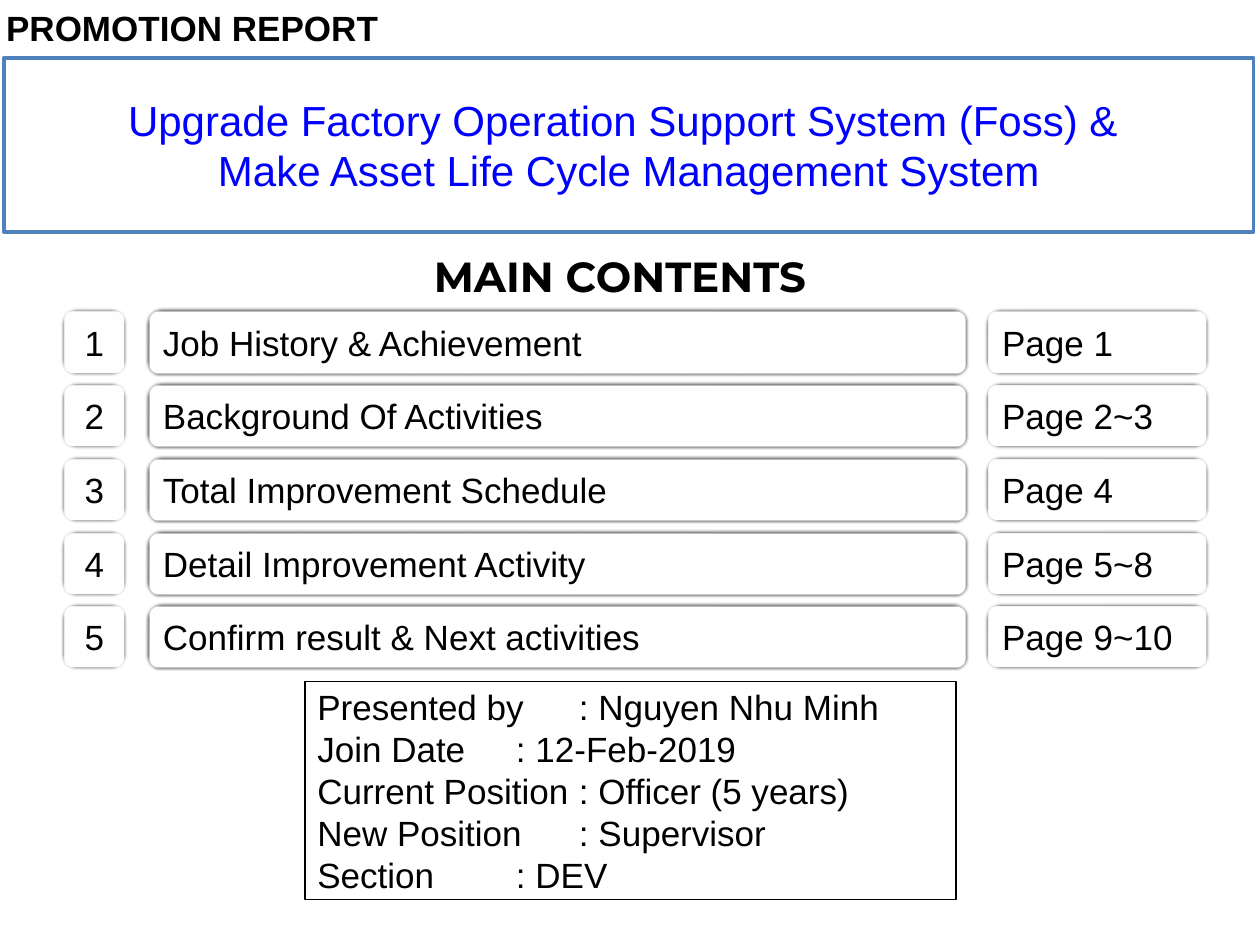
from lxml import etree
from pptx import Presentation
from pptx import util as u
from pptx.dml.color import RGBColor
from pptx.enum import shapes, text
from pptx.oxml.ns import qn

BLACK = RGBColor(0x00, 0x00, 0x00)
WHITE = RGBColor(0xFF, 0xFF, 0xFF)
TITLE_BLUE = RGBColor(0x00, 0x00, 0xFF)
BORDER_BLUE = RGBColor(0x4F, 0x81, 0xBD)

RECTANGLE = shapes.MSO_SHAPE.RECTANGLE
ROUNDED = shapes.MSO_SHAPE.ROUNDED_RECTANGLE
LEFT = text.PP_ALIGN.LEFT
CENTER = text.PP_ALIGN.CENTER

CONTENTS = [
    ("Job History & Achievement", "Page 1"),
    ("Background Of Activities", "Page 2~3"),
    ("Total Improvement Schedule", "Page 4"),
    ("Detail Improvement Activity", "Page 5~8"),
    ("Confirm result & Next activities", "Page 9~10"),
]
PRESENTER = [
    "Presented by\t : Nguyen Nhu Minh",
    "Join Date\t : 12-Feb-2019",
    "Current Position\t : Officer (5 years)",
    "New Position\t : Supervisor",
    "Section\t\t : DEV",
]
TITLE = [
    "Upgrade Factory Operation Support System (Foss) & ",
    "Make Asset Life Cycle Management System",
]
ROW_TOP, ROW_STEP, ROW_HEIGHT = 2.46, 0.585, 0.51


def write_text(shape, lines, size=20, color=BLACK, align=LEFT, font="Arial", bold=False):
    shape.text_frame.text = "\n".join(lines)
    for paragraph in shape.text_frame.paragraphs:
        paragraph.alignment = align
        for run in paragraph.runs:
            run.font.name = font
            run.font.size = u.Pt(size)
            run.font.bold = bold
            run.font.color.rgb = color


def add_box(slide, kind, bounds, lines, fill=WHITE, line=None, line_width=1, **style):
    shape = slide.shapes.add_shape(kind, *map(u.Inches, bounds))
    shape.shadow.inherit = False
    if fill is None:
        shape.fill.background()
    else:
        shape.fill.solid()
        shape.fill.fore_color.rgb = fill
    if line is None:
        shape.line.fill.background()
    else:
        shape.line.color.rgb = line
        shape.line.width = u.Pt(line_width)
    shape.text_frame.word_wrap = False
    shape.text_frame.vertical_anchor = text.MSO_ANCHOR.MIDDLE
    write_text(shape, lines, **style)
    return shape


def soften_edges(shape, radius):
    effects = shape.element.spPr.find(qn("a:effectLst"))
    etree.SubElement(effects, qn("a:softEdge"), rad=str(u.Pt(radius)))


def add_contents_row(slide, index, topic, pages):
    top = ROW_TOP + index * ROW_STEP
    cells = [
        (0.5, 0.5, str(index + 1), CENTER),
        (1.17, 6.5, topic, LEFT),
        (7.83, 1.75, pages, LEFT),
    ]
    for left, width, label, align in cells:
        box = add_box(slide, ROUNDED, (left, top, width, ROW_HEIGHT), [label],
                      line=BLACK, line_width=2.25, align=align)
        soften_edges(box, 2.5)


def add_report_label(slide):
    label = slide.shapes.add_textbox(*map(u.Inches, (-0.17, 0, 3.39, 0.43)))
    label.text_frame.word_wrap = True
    write_text(label, ["PROMOTION REPORT"], align=CENTER, bold=True)


def main():
    presentation = Presentation()
    presentation.slide_width = u.Inches(10)
    presentation.slide_height = u.Inches(7.5)
    slide = presentation.slides.add_slide(presentation.slide_layouts[6])

    heading = add_box(slide, ROUNDED, (3.42, 1.95, 3, 0.47), ["MAIN CONTENTS"],
                      size=24, align=CENTER, font="Montserrat", bold=True)
    heading.adjustments[0] = 0
    for index, (topic, pages) in enumerate(CONTENTS):
        add_contents_row(slide, index, topic, pages)
    add_box(slide, RECTANGLE, (2.42, 5.41, 5.17, 1.73), PRESENTER, fill=None, line=BLACK)
    add_box(slide, RECTANGLE, (0.03, 0.46, 9.92, 1.38), TITLE, line=BORDER_BLUE,
            line_width=2, size=24, color=TITLE_BLUE, align=CENTER)
    add_report_label(slide)

    presentation.save("out.pptx")


if __name__ == "__main__":
    main()
